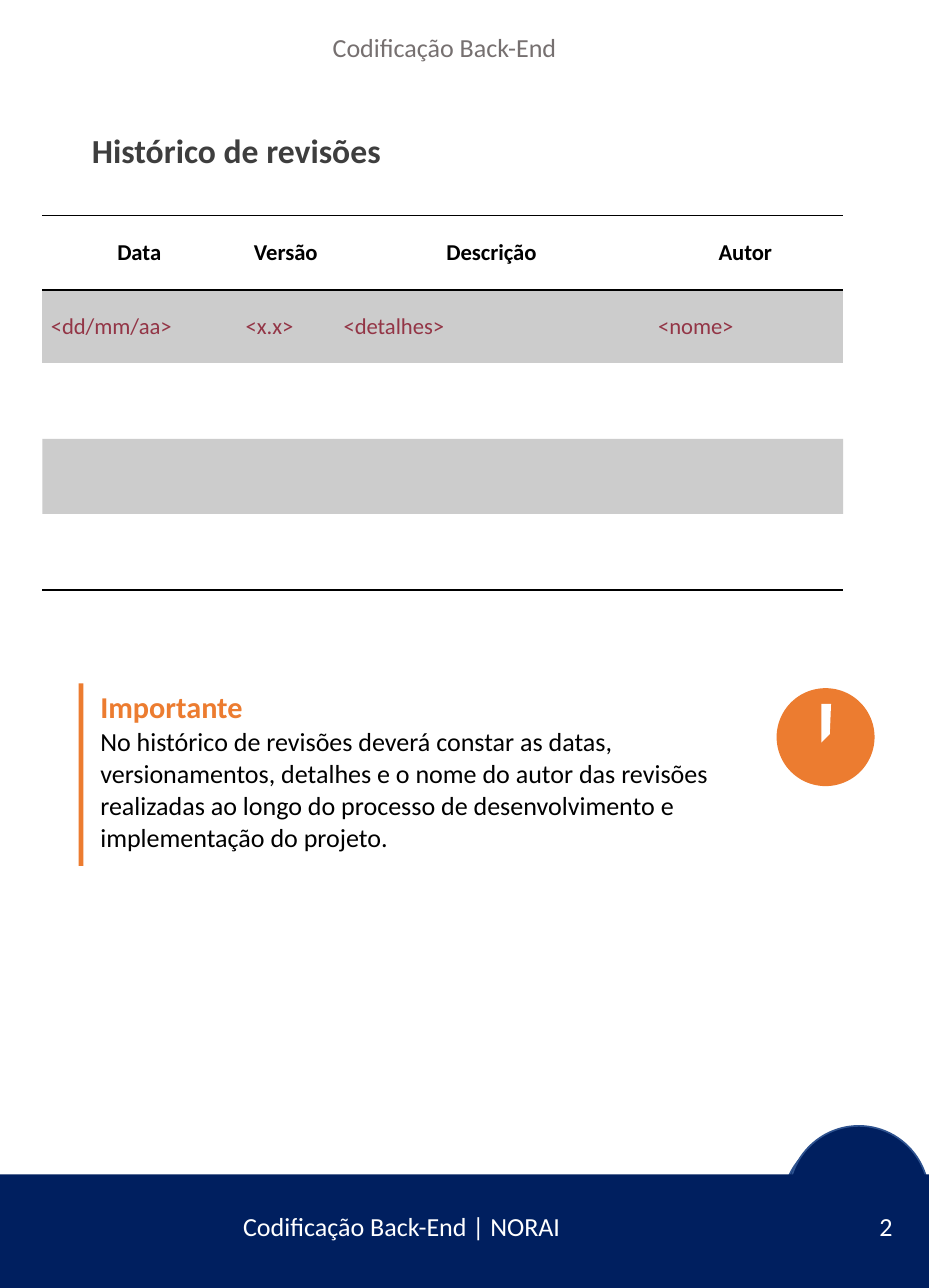
"""Build the revision history page with its table, note and footer."""
import pptx
import pptx.enum.shapes
import pptx.enum.text
import pptx.oxml
import pptx.oxml.ns
import pptx.util

Inches, Pt = pptx.util.Inches, pptx.util.Pt
RGB = pptx.dml.color.RGBColor.from_string
SHAPE = pptx.enum.shapes.MSO_SHAPE
ANCHOR = pptx.enum.text.MSO_ANCHOR
LEFT = pptx.enum.text.PP_ALIGN.LEFT
C = {"navy": "001F5F", "rim": "2E528F", "orange": "EC7C30", "band": "CCCCCC",
     "gray": "767070", "dark": "3E3E3E", "wine": "933546",
     "black": "000000", "white": "FFFFFF"}


def write(tf, text, size, color, bold=False, p=None, **fmt):
    """Write one formatted paragraph."""
    frame = {"margin_left": 0, "margin_right": 0, "margin_top": 0,
             "margin_bottom": 0, "word_wrap": True, "vertical_anchor": ANCHOR.TOP}
    for name, value in frame.items():
        setattr(tf, name, value)
    p = p or tf.paragraphs[0]
    for name, value in {"alignment": LEFT, **fmt}.items():
        setattr(p, name, value)
    r = p.add_run()
    r.text = text
    for name, value in {"name": "Calibri", "size": Pt(size), "bold": bold}.items():
        setattr(r.font, name, value)
    r.font.color.rgb = RGB(C[color])


def paint(sp, fill, line=None):
    """Give a shape its fill and optional outline."""
    sp.shadow.inherit = False
    sp.fill.solid()
    sp.fill.fore_color.rgb = RGB(C[fill])
    if line:
        sp.line.color.rgb = RGB(C[line])
        sp.line.width = Pt(1)
    else:
        sp.line.fill.background()


prs = pptx.Presentation()
prs.slide_width, prs.slide_height = Inches(7.68), Inches(10.65)
s = prs.slides.add_slide(prs.slide_layouts.get_by_name("Title Only"))

title = s.shapes.title
box = {"left": 0.76, "top": 1.07, "width": 3.9, "height": 0.34}
for name, value in box.items():
    setattr(title, name, Inches(value))
write(title.text_frame, "Histórico de revisões", 20, "dark", True)

shapes = [
    (SHAPE.OVAL, 6.47, 9.38, 1.17, 1.17, "navy", "rim"),
    (SHAPE.OVAL, 6.52, 9.31, 1.16, 1.17, "navy", "rim"),
    (SHAPE.RECTANGLE, 0, 9.71, 7.68, 0.94, "navy", None),
    (SHAPE.RECTANGLE, 0.35, 3.63, 2.41, 0.62, "band", None),
    (SHAPE.RECTANGLE, 2.76, 3.63, 4.21, 0.62, "band", None),
    (SHAPE.RECTANGLE, 0.65, 5.65, 0.04, 1.51, "orange", None),
    (SHAPE.OVAL, 6.42, 5.69, 0.81, 0.81, "orange", None),
]
for kind, x, y, w, h, fill, line in shapes:
    sp = s.shapes.add_shape(kind, Inches(x), Inches(y), Inches(w), Inches(h))
    paint(sp, fill, line)

fb = s.shapes.build_freeform(Inches(6.87), Inches(5.82))
hand = [(6.79, 5.82), (6.79, 6.14), (6.86, 6.07)]
fb.add_line_segments([(Inches(x), Inches(y)) for x, y in hand], close=True)
paint(fb.convert_to_shape(), "white")

columns = [
    (1.38, "Data", 0.62, "<dd/mm/aa>", 0.07),
    (1.0, "Versão", 0.37, "<x.x>", 0.3),
    (2.21, "Descrição", 0.96, "<detalhes>", 0.11),
    (2.03, "Autor", 1.0, "<nome>", 0.5),
]
frame = s.shapes.add_table(2, len(columns), Inches(0.35), Inches(1.78),
                           Inches(6.62), Inches(1.22))
table = frame.table
table.first_row = table.horz_banding = False
style = table._tbl.tblPr.find(pptx.oxml.ns.qn("a:tableStyleId"))
style.text = "{2D5ABB26-0587-4C30-8999-92F81FD0307C}"
table.rows[0].height, table.rows[1].height = Inches(0.62), Inches(0.6)
for j, (width, head, head_indent, value, value_indent) in enumerate(columns):
    table.columns[j].width = Inches(width)
    rows = [(head, head_indent, "black", True, ("lnT", "lnB")),
            (value, value_indent, "wine", False, ("lnT",))]
    for i, (text, indent, color, bold, edges) in enumerate(rows):
        cell = table.cell(i, j)
        write(cell.text_frame, text, 13.5, color, bold)
        cell.margin_left = Inches(indent)
        cell.vertical_anchor = ANCHOR.MIDDLE
        for edge in edges:
            cell._tc.get_or_add_tcPr().append(pptx.oxml.parse_xml(
                f'<a:{edge} {pptx.oxml.ns.nsdecls("a")} w="12700"><a:solidFill>'
                f'<a:srgbClr val="{C["black"]}"/></a:solidFill></a:{edge}>'))
        if i:
            cell.fill.solid()
            cell.fill.fore_color.rgb = RGB(C["band"])
        else:
            cell.fill.background()

rule = s.shapes.add_connector(pptx.enum.shapes.MSO_CONNECTOR.STRAIGHT,
                              Inches(0.35), Inches(4.88), Inches(6.97), Inches(4.88))
rule.line.color.rgb = RGB(C["black"])
rule.line.width = Pt(1)
rule._element.spPr.append(pptx.oxml.parse_xml(
    f'<a:effectLst {pptx.oxml.ns.nsdecls("a")}/>'))

labels = [
    (2.75, 0.26, 1.95, 0.26, "Codificação Back-End", "gray"),
    (2.01, 10.05, 2.8, 0.25, "Codificação Back-End | NORAI", "white"),
    (7.27, 10.05, 0.19, 0.25, "2", "white"),
]
for x, y, w, h, text, color in labels:
    sp = s.shapes.add_textbox(Inches(x), Inches(y), Inches(w), Inches(h))
    write(sp.text_frame, text, 15.5, color, line_spacing=Pt(15.9) if y > 10 else None)

note = s.shapes.add_textbox(Inches(0.83), Inches(5.69), Inches(5.2), Inches(1.41))
tf = note.text_frame
write(tf, "Importante", 18, "orange", True)
write(tf, "No histórico de revisões deverá constar as datas, versionamentos, "
      "detalhes e o nome do autor das revisões realizadas ao longo do processo "
      "de desenvolvimento e implementação do projeto.", 15.5, "black",
      p=tf.add_paragraph(), line_spacing=1.03)

prs.save("out.pptx")
